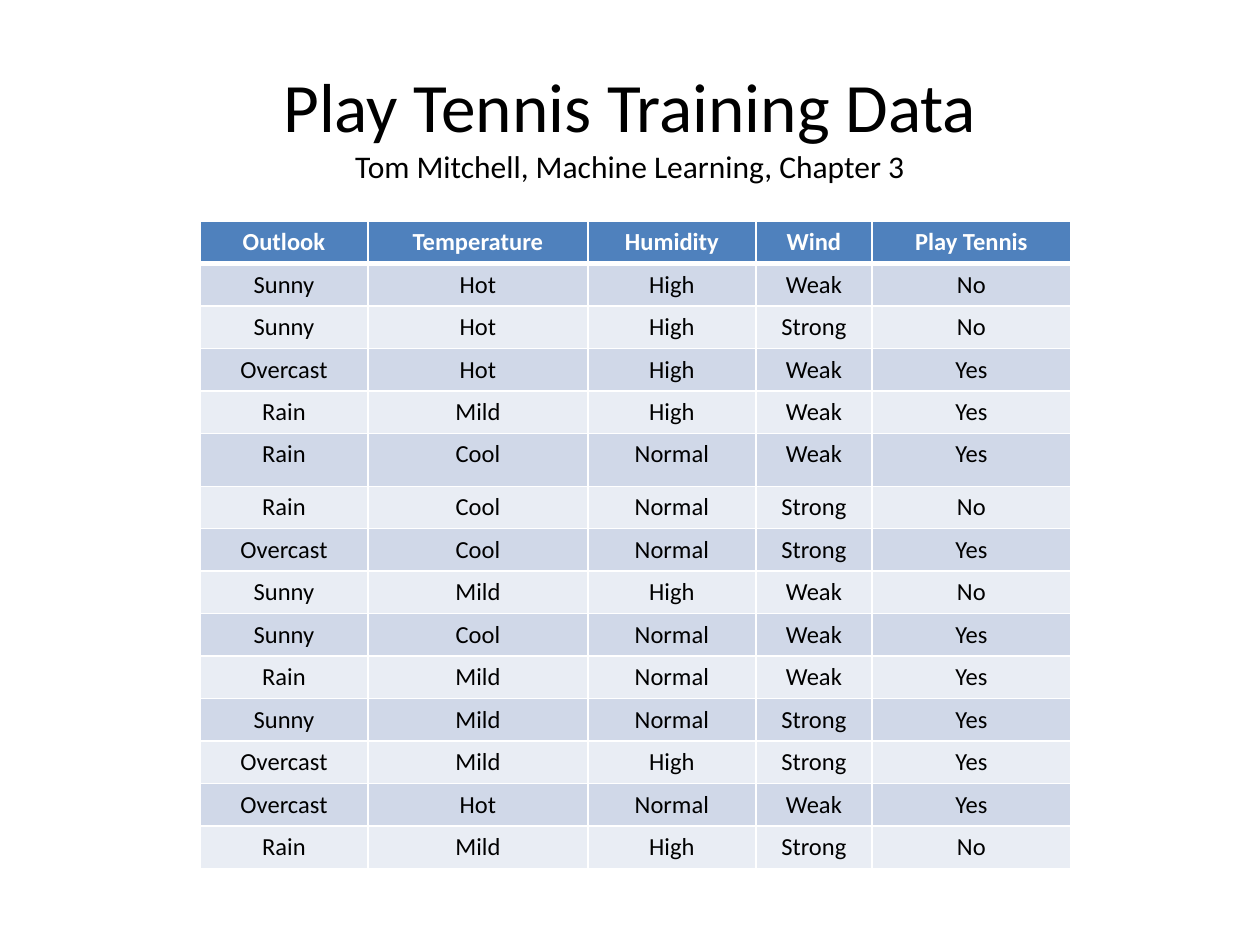
from copy import deepcopy

from pptx import Presentation
from pptx.dml.color import RGBColor
from pptx.enum.text import MSO_ANCHOR, PP_ALIGN
from pptx.oxml.ns import qn
from pptx.util import Emu, Pt
from lxml.etree import SubElement

PIXEL = 914400 // 126
FONT = "Calibri"
COLOURS = {
    "text": "000000",
    "header": "4F81BD",
    "odd": "D0D8E8",
    "even": "E9EDF4",
    "white": "FFFFFF",
}

TITLE_LINES = [("Play Tennis Training Data", 39.6),
               ("Tom Mitchell, Machine Learning, Chapter 3", 18)]
TITLE_PLACE = {"left": 63, "top": 53, "width": 1134, "height": 142}

TABLE_LEFT, TABLE_TOP = 200, 221
COLUMN_WIDTHS = [168, 220, 168, 116, 199]
ROW_HEIGHT = 42
TALL_ROWS = {5: 53}
DATA = """Outlook,Temperature,Humidity,Wind,Play Tennis
Sunny,Hot,High,Weak,No
Sunny,Hot,High,Strong,No
Overcast,Hot,High,Weak,Yes
Rain,Mild,High,Weak,Yes
Rain,Cool,Normal,Weak,Yes
Rain,Cool,Normal,Strong,No
Overcast,Cool,Normal,Strong,Yes
Sunny,Mild,High,Weak,No
Sunny,Cool,Normal,Weak,Yes
Rain,Mild,Normal,Weak,Yes
Sunny,Mild,Normal,Strong,Yes
Overcast,Mild,High,Strong,Yes
Overcast,Hot,Normal,Weak,Yes
Rain,Mild,High,Strong,No"""


def px(count):
    return Emu(count * PIXEL)


def colour(name):
    return RGBColor.from_string(COLOURS[name])


def add_span(para, text, size, colour_name="text", bold=False):
    span = para.add_run()
    span.text = text
    values = {"name": FONT, "size": Pt(size), "bold": bold}
    for name, value in values.items():
        setattr(span.font, name, value)
    span.font.color.rgb = colour(colour_name)
    return span


def fill_title(box):
    for name, value in TITLE_PLACE.items():
        setattr(box, name, px(value))
    frame = box.text_frame
    frame.vertical_anchor = MSO_ANCHOR.MIDDLE
    para = frame.paragraphs[0]
    para.alignment = PP_ALIGN.CENTER
    (title, title_size), (source, source_size) = TITLE_LINES
    span = add_span(para, title, title_size)
    para.add_line_break()
    # The break takes the title's size, so the first line keeps its height
    line_break = para._p.find(qn("a:br"))
    line_break.append(deepcopy(span.font._element))
    add_span(para, source, source_size)


def set_borders(cell, widths):
    properties = cell._tc.get_or_add_tcPr()
    for side, width in widths.items():
        line = SubElement(properties, qn(f"a:ln{side}"), w=str(Pt(width)))
        fill = SubElement(line, qn("a:solidFill"))
        SubElement(fill, qn("a:srgbClr"), val=COLOURS["white"])


def fill_cell(cell, text, row):
    header = row == 0
    set_borders(cell, {"L": 1, "R": 1,
                       "T": 3 if row == 1 else 1,
                       "B": 3 if header else 1})
    cell.fill.solid()
    band = "odd" if row % 2 else "even"
    cell.fill.fore_color.rgb = colour("header" if header else band)
    para = cell.text_frame.paragraphs[0]
    para.alignment = PP_ALIGN.CENTER
    add_span(para, text, 14, "white" if header else "text", header)


def add_data_table(page):
    records = [line.split(",") for line in DATA.splitlines()]
    heights = [TALL_ROWS.get(row, ROW_HEIGHT) for row in range(len(records))]
    table = page.shapes.add_table(
        len(records), len(COLUMN_WIDTHS), px(TABLE_LEFT), px(TABLE_TOP),
        px(sum(COLUMN_WIDTHS)), px(sum(heights))).table
    for column, width in zip(table.columns, COLUMN_WIDTHS):
        column.width = px(width)
    for row, (record, height) in enumerate(zip(records, heights)):
        table.rows[row].height = px(height)
        for column, text in enumerate(record):
            fill_cell(table.cell(row, column), text, row)


def main():
    deck = Presentation()
    deck.slide_width, deck.slide_height = px(1260), px(945)
    # Title Only layout
    page = deck.slides.add_slide(deck.slide_layouts[5])
    fill_title(page.shapes.title)
    add_data_table(page)
    deck.save("out.pptx")


main()
